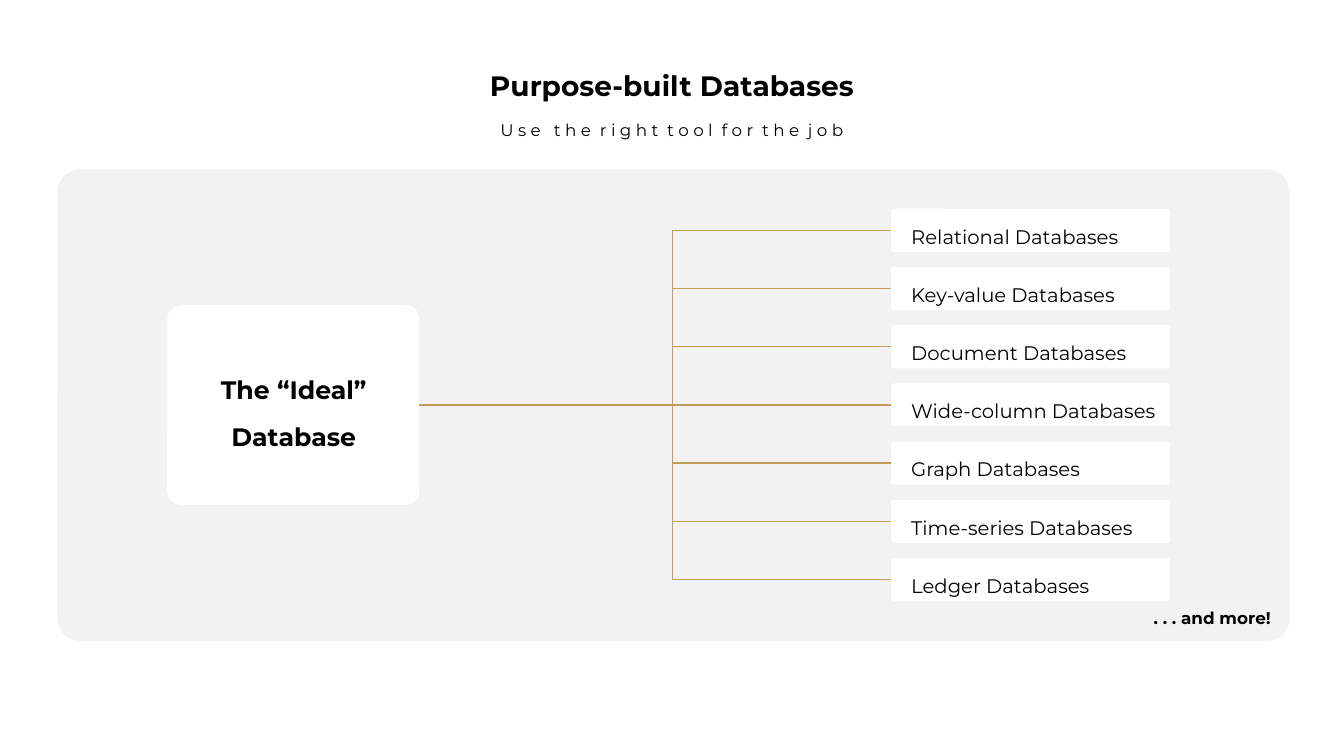
from dataclasses import dataclass

from lxml import etree
from pptx import Presentation
from pptx import util as u
from pptx.dml.color import RGBColor
from pptx.enum import shapes, text
from pptx.oxml import ns


@dataclass(frozen=True)
class Theme:
    font: str = "Montserrat"
    ink: str = "000000"
    white: str = "FFFFFF"
    panel: str = "F2F2F2"
    gold: str = "C29E59"
    title: int = 20
    core: int = 18
    item: int = 14
    small: int = 12
    line: int = 1


THEME = Theme()
WIDTH, HEIGHT = u.Inches(13.33), u.Inches(7.5)
LEFT, CENTER, RIGHT = text.PP_ALIGN.LEFT, text.PP_ALIGN.CENTER, text.PP_ALIGN.RIGHT
TOP, MIDDLE = text.MSO_ANCHOR.TOP, text.MSO_ANCHOR.MIDDLE

DATABASES = ["Relational", "Key-value", "Document", "Wide-column",
             "Graph", "Time-series", "Ledger"]

# Tree layout, in percent of the slide's width and height
AXIS = 53.57
ROW_PITCH = 7.7
CORE_X, CORE_W, CORE_H = 12.45, 18.75, 26.4
TRUNK_X = 50.02
ITEM_X, ITEM_W, ITEM_H = 66.31, 20.76, 5.7


def across(share):
    return u.Emu(round(WIDTH * share / 100))


def down(share):
    return u.Emu(round(HEIGHT * share / 100))


def area(x, y, w, h):
    return across(x), down(y), across(w), down(h)


def set_all(obj, values):
    for name, value in values.items():
        setattr(obj, name, value)


def write(sp, lines, size, bold=False, align=CENTER, anchor=MIDDLE,
          insets=(0.01, 0, 0, 0), spacing=1.5):
    tf = sp.text_frame
    left, top, right, bottom = map(u.Inches, insets)
    set_all(tf, {"word_wrap": True, "auto_size": text.MSO_AUTO_SIZE.NONE,
                 "vertical_anchor": anchor, "margin_left": left,
                 "margin_top": top, "margin_right": right,
                 "margin_bottom": bottom})
    for i, line in enumerate(lines):
        p = tf.add_paragraph() if i else tf.paragraphs[0]
        set_all(p, {"alignment": align, "line_spacing": spacing,
                    "space_before": u.Pt(1.1 if i else 0)})
        r = p.add_run()
        r.text = line
        set_all(r.font, {"name": THEME.font, "size": u.Pt(size), "bold": bold})
        r.font.color.rgb = RGBColor.from_string(THEME.ink)


def heading(sp, box, line, size, bold=False):
    set_all(sp, dict(zip(("left", "top", "width", "height"), area(*box))))
    write(sp, [line], size, bold, anchor=TOP,
          insets=(0.1, 0.05, 0.1, 0.05), spacing=1.0)


def card(s, box, fill, rounding):
    sp = s.shapes.add_shape(shapes.MSO_SHAPE.ROUNDED_RECTANGLE, *area(*box))
    sp.adjustments[0] = rounding
    sp.shadow.inherit = False
    sp.fill.solid()
    sp.fill.fore_color.rgb = RGBColor.from_string(fill)
    sp.line.fill.background()
    return sp


def branch(s, x1, y1, x2, y2):
    line = s.shapes.add_connector(shapes.MSO_CONNECTOR.STRAIGHT,
                                  across(x1), down(y1), across(x2), down(y2))
    line.line.color.rgb = RGBColor.from_string(THEME.gold)
    line.line.width = u.Pt(THEME.line)
    etree.SubElement(line._element.spPr, ns.qn("a:effectLst"))


def main():
    prs = Presentation()
    set_all(prs, {"slide_width": WIDTH, "slide_height": HEIGHT})
    s = prs.slides.add_slide(prs.slide_layouts[0])

    # Title and letter-spaced subtitle
    heading(s.shapes.title, (12.53, 8.4, 74.94, 5.87),
            "Purpose-built Databases", THEME.title, bold=True)
    heading(s.placeholders[1], (8.78, 15.2, 82.45, 4),
            "U s e   t h e  r i g h t  t o o l  f o r  t h e  j o b", THEME.small)

    # Panel and root of the tree
    card(s, (4.28, 22.4, 91.65, 62.4), THEME.panel, 0.048)
    core = card(s, (CORE_X, AXIS - CORE_H / 2, CORE_W, CORE_H),
                THEME.white, 0.068)
    write(core, ["The “Ideal”", "Database"], THEME.core, bold=True)

    # Trunk, then one branch and one card per database type
    middle = (len(DATABASES) - 1) / 2
    rows = [AXIS + (i - middle) * ROW_PITCH for i in range(len(DATABASES))]
    branch(s, CORE_X + CORE_W, AXIS, TRUNK_X, AXIS)
    branch(s, TRUNK_X, rows[0], TRUNK_X, rows[-1])
    for name, y in zip(DATABASES, rows):
        branch(s, TRUNK_X, y, ITEM_X, y)
        item = card(s, (ITEM_X, y - ITEM_H / 2, ITEM_W, ITEM_H),
                    THEME.white, 0.068)
        write(item, [f"{name} Databases"], THEME.item, align=LEFT,
              insets=(0.19, 0, 0, 0))

    # Closing remark
    more = s.shapes.add_textbox(*area(80.98, 79.2, 13.58, 3.73))
    write(more, [". . . and more!"], THEME.small, bold=True, align=RIGHT)

    prs.save("out.pptx")


if __name__ == "__main__":
    main()
